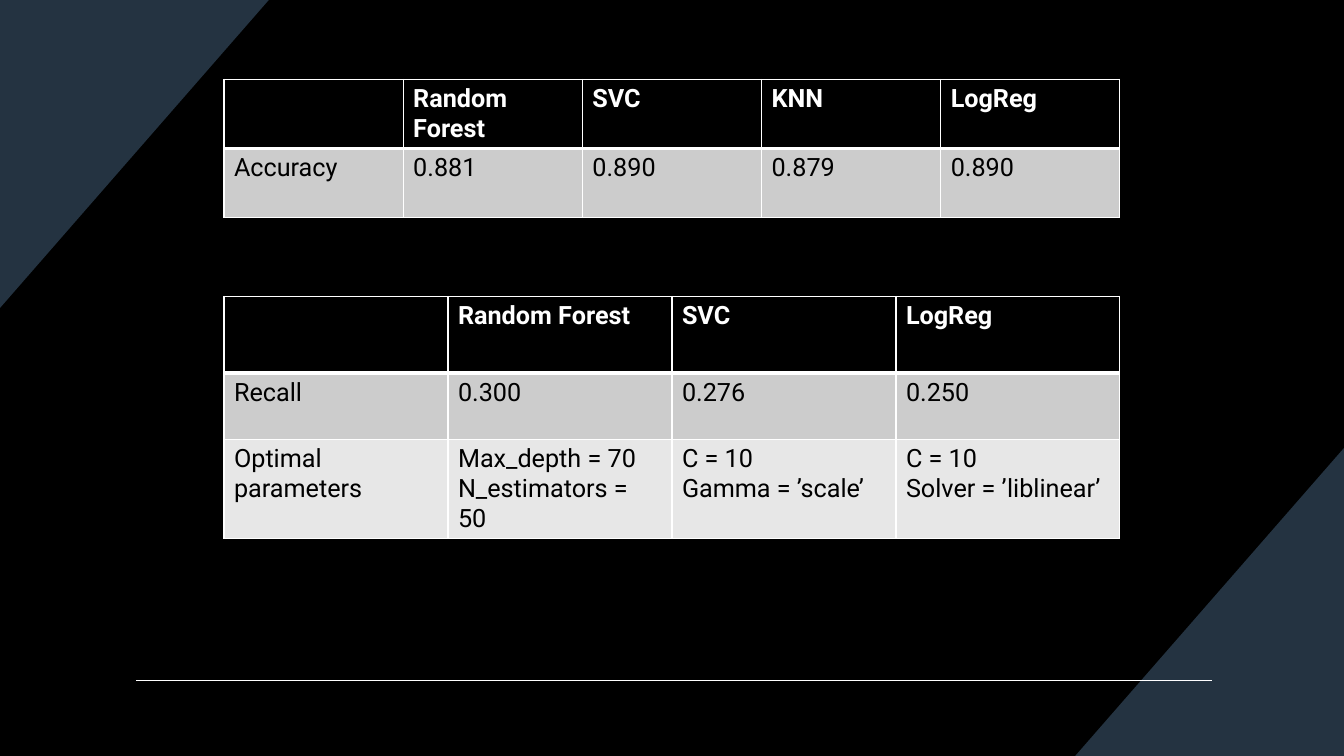
"""Build a slide with two tables that compare classifier results."""
from dataclasses import dataclass

from lxml.etree import SubElement
from pptx import Presentation
from pptx.dml.color import RGBColor
from pptx.enum.shapes import MSO_CONNECTOR as Connector
from pptx.oxml.ns import qn
from pptx.slide import Slide
from pptx.table import _Cell as Cell
from pptx.util import Pt

WIDTH, HEIGHT = 960, 540
BLACK, WHITE, SLATE = "000000", "FFFFFF", "243341"
ROW_FILLS = (BLACK, "CCCCCC", "E7E7E7")
TABLE_LEFT, TABLE_WIDTH = 160, 640
THIN, THICK = 1, 3


@dataclass
class ResultTable:
    top: float
    row_heights: tuple[float, ...]
    rows: tuple[tuple[str, ...], ...]


CORNERS = (
    ((WIDTH, 320.4), (WIDTH, HEIGHT), (767.5, HEIGHT)),
    ((0, 219.6), (0, 0), (192.5, 0)),
)

TABLES = (
    ResultTable(56.7, (49.2, 49.2), (
        ("", "Random Forest", "SVC", "KNN", "LogReg"),
        ("Accuracy", "0.881", "0.890", "0.879", "0.890"),
    )),
    ResultTable(211.7, (54.6, 47.7, 70.2), (
        ("", "Random Forest", "SVC", "LogReg"),
        ("Recall", "0.300", "0.276", "0.250"),
        ("Optimal parameters", "Max_depth = 70\nN_estimators = 50",
         "C = 10\nGamma = ’scale’", "C = 10\nSolver = ’liblinear’"),
    )),
)


def color(value: str) -> RGBColor:
    return RGBColor.from_string(value)


def draw_corner(slide: Slide, points: tuple[tuple[float, float], ...]) -> None:
    builder = slide.shapes.build_freeform(*points[0], scale=Pt(1))
    builder.add_line_segments(points[1:], close=True)
    shape = builder.convert_to_shape()
    shape.shadow.inherit = False
    shape.fill.solid()
    shape.fill.fore_color.rgb = color(SLATE)
    shape.line.fill.background()


def draw_footer_line(slide: Slide) -> None:
    line = slide.shapes.add_connector(
        Connector.STRAIGHT, Pt(97.2), Pt(486), Pt(865.6), Pt(486))
    line.line.color.rgb = color(WHITE)
    line.line.width = Pt(1)
    SubElement(line._element.spPr, qn("a:effectLst"))


def set_borders(cell: Cell, top: float, bottom: float) -> None:
    properties = cell._tc.get_or_add_tcPr()
    for side, width in zip("LRTB", (THIN, THIN, top, bottom)):
        border = SubElement(properties, qn(f"a:ln{side}"), w=str(Pt(width)))
        fill = SubElement(border, qn("a:solidFill"))
        SubElement(fill, qn("a:srgbClr"), val=WHITE)


def fill_cell(cell: Cell, text: str, row: int) -> None:
    is_header = row == 0
    set_borders(cell, THICK if row == 1 else THIN, THICK if is_header else THIN)
    cell.fill.solid()
    cell.fill.fore_color.rgb = color(ROW_FILLS[row])
    frame = cell.text_frame
    for index, line in enumerate(text.splitlines()):
        paragraph = frame.add_paragraph() if index else frame.paragraphs[0]
        run = paragraph.add_run()
        run.text = line
        run.font.name = "Roboto"
        run.font.size = Pt(18)
        run.font.bold = is_header
        run.font.color.rgb = color(WHITE if is_header else BLACK)


def draw_table(slide: Slide, result: ResultTable) -> None:
    column_count = len(result.rows[0])
    table = slide.shapes.add_table(
        len(result.rows), column_count, Pt(TABLE_LEFT), Pt(result.top),
        Pt(TABLE_WIDTH), Pt(sum(result.row_heights))).table
    for column in table.columns:
        column.width = Pt(TABLE_WIDTH / column_count)
    for row, (height, texts) in enumerate(zip(result.row_heights, result.rows)):
        table.rows[row].height = Pt(height)
        for column, text in enumerate(texts):
            fill_cell(table.cell(row, column), text, row)


def main() -> None:
    presentation = Presentation()
    presentation.slide_width, presentation.slide_height = Pt(WIDTH), Pt(HEIGHT)
    slide = presentation.slides.add_slide(presentation.slide_layouts[6])
    slide.background.fill.solid()
    slide.background.fill.fore_color.rgb = color(BLACK)
    for points in CORNERS:
        draw_corner(slide, points)
    draw_footer_line(slide)
    for result in TABLES:
        draw_table(slide, result)
    presentation.save("out.pptx")


if __name__ == "__main__":
    main()
